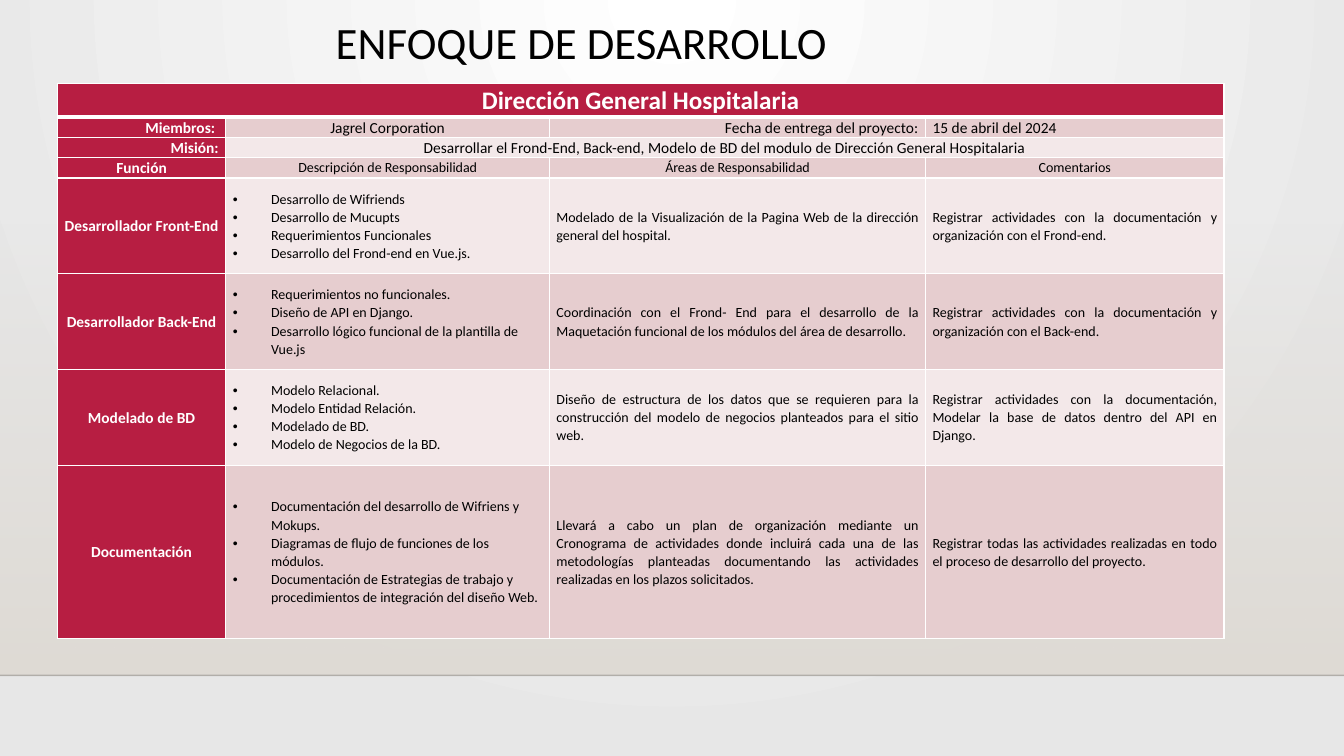
import pptx
import pptx.util
import pptx.dml.color
import pptx.enum.shapes
import pptx.enum.text
import pptx.oxml
import pptx.oxml.ns
import lxml.etree

Inches, Pt = pptx.util.Inches, pptx.util.Pt
ALIGN = pptx.enum.text.PP_ALIGN
ANCHOR = pptx.enum.text.MSO_ANCHOR
qn = pptx.oxml.ns.qn

FONT = "Calibri"
COLORS = {"red": "B71E42", "rose": "E6CDCF", "pale": "F3E8E9", "white": "FFFFFF",
          "black": "000000", "edge": "E7E7E7", "sand": "DFDBD5"}

TITLE = "ENFOQUE DE DESARROLLO"
COLUMN_WIDTHS = [1.67, 3.21, 3.73, 2.96]
ROW_HEIGHTS = [0.33, 0.2, 0.2, 0.2, 0.95, 0.95, 0.95, 1.72]
# A None cell is covered by the merged cell on its left; a list is bulleted.
ROWS = [
    ["Dirección General Hospitalaria", None, None, None],
    ["Miembros: ", "Jagrel Corporation", "Fecha de entrega del proyecto:",
     "15 de abril del 2024"],
    ["Misión:", "Desarrollar el Frond-End, Back-end, Modelo de BD del modulo de "
     "Dirección General Hospitalaria", None, None],
    ["Función", "Descripción de Responsabilidad", "Áreas de Responsabilidad",
     "Comentarios"],
    ["Desarrollador Front-End",
     ["Desarrollo de Wifriends", "Desarrollo de Mucupts",
      "Requerimientos Funcionales", "Desarrollo del Frond-end en Vue.js."],
     "Modelado de la Visualización de la Pagina Web de la dirección general del "
     "hospital. ",
     "Registrar actividades con la documentación y organización con el Frond-end."],
    ["Desarrollador Back-End",
     ["Requerimientos no funcionales.", "Diseño de API en Django.",
      "Desarrollo lógico funcional de la plantilla de Vue.js"],
     "Coordinación con el Frond- End para el desarrollo de la Maquetación funcional "
     "de los módulos del área de desarrollo.",
     "Registrar actividades con la documentación y organización con el Back-end."],
    ["Modelado de BD",
     ["Modelo Relacional.", "Modelo Entidad Relación.", "Modelado de BD.",
      "Modelo de Negocios de la BD."],
     "Diseño de estructura de los datos que se requieren para la construcción del "
     "modelo de negocios planteados para el sitio web.",
     "Registrar actividades con la documentación, Modelar la base de datos dentro "
     "del API en Django."],
    ["Documentación",
     ["Documentación del desarrollo de Wifriens y Mokups.",
      "Diagramas de flujo de funciones de los módulos.",
      "Documentación de Estrategias de trabajo y procedimientos de integración del "
      "diseño Web."],
     "Llevará a cabo un plan de organización mediante un Cronograma de actividades "
     "donde incluirá cada una de las metodologías planteadas documentando las "
     "actividades realizadas en los plazos solicitados.",
     "Registrar todas las actividades realizadas en todo el proceso de desarrollo "
     "del proyecto. "],
]
FIRST_BODY_ROW = 4
HEAD_ALIGNS = [
    [ALIGN.CENTER],
    [ALIGN.RIGHT, ALIGN.CENTER, ALIGN.RIGHT, ALIGN.LEFT],
    [ALIGN.RIGHT, ALIGN.CENTER],
    [ALIGN.CENTER] * 4,
]
BODY_ALIGNS = [ALIGN.CENTER, ALIGN.LEFT, ALIGN.JUSTIFY, ALIGN.JUSTIFY]


def rgb(name):
    return pptx.dml.color.RGBColor.from_string(COLORS[name])


def add_span(para, text, size, color, bold=False):
    span = para.add_run()
    span.text = text
    span.font.name, span.font.size, span.font.bold = FONT, Pt(size), bold
    span.font.color.rgb = rgb(color)


def set_alpha(fill_element, percents):
    """Give each colour stop below fill_element its opacity."""
    for color, percent in zip(fill_element.iter(qn("a:srgbClr")), percents):
        lxml.etree.SubElement(color, qn("a:alpha")).set("val", str(percent * 1000))


def fill_gradient(fill, start, end):
    fill.gradient()
    for stop, position, name in zip(fill.gradient_stops, (0, 1), (start, end)):
        stop.color.rgb = rgb(name)
        stop.position = position


def draw_backdrop(deck, page):
    fill_gradient(page.background.fill, "white", "edge")
    gradient = next(page.background._cSld.iter(qn("a:gradFill")))
    gradient.remove(gradient.find(qn("a:lin")))
    glow = lxml.etree.SubElement(gradient, qn("a:path"))
    glow.set("path", "circle")
    center = lxml.etree.SubElement(glow, qn("a:fillToRect"))
    for side, value in zip("ltrb", (43, 0, 43, 100)):
        center.set(side, str(value * 1000))

    wall = page.shapes.add_shape(pptx.enum.shapes.MSO_SHAPE.RECTANGLE, 0, Inches(2.21),
                                 deck.slide_width, Inches(4.49))
    wall.shadow.inherit = False
    wall.line.fill.background()
    fill_gradient(wall.fill, "sand", "sand")
    wall.fill.gradient_angle = 270
    set_alpha(wall._element.spPr, (0, 100))

    floor_line = page.shapes.add_connector(pptx.enum.shapes.MSO_CONNECTOR.STRAIGHT, 0,
                                           Inches(6.7), deck.slide_width, Inches(6.7))
    floor_line.line.color.rgb = rgb("black")
    floor_line.line.width = Pt(1)
    set_alpha(floor_line._element.spPr, (20,))
    lxml.etree.SubElement(floor_line._element.spPr, qn("a:effectLst"))


def write_title(page):
    box = page.shapes.title
    box.left, box.top = Inches(3.23), Inches(0.16)
    box.width, box.height = Inches(8.13), Inches(1.61)
    box.text_frame.vertical_anchor = ANCHOR.TOP
    para = box.text_frame.paragraphs[0]
    para.alignment, para.line_spacing = ALIGN.LEFT, 0.9
    add_span(para, TITLE, 32, "black")


def set_borders(cell, bottom_width):
    properties = cell._tc.get_or_add_tcPr()
    for index, side in enumerate("LRTB"):
        width = bottom_width if side == "B" else 1
        border = pptx.oxml.parse_xml(
            f'<a:ln{side} {pptx.oxml.ns.nsdecls("a")} w="{Pt(width)}"><a:solidFill>'
            f'<a:srgbClr val="{COLORS["white"]}"/></a:solidFill></a:ln{side}>')
        properties.insert(index, border)


def add_bullet(para):
    properties = para._p.get_or_add_pPr()
    properties.set("marL", str(Inches(0.38)))
    properties.set("indent", str(-Inches(0.38)))
    lxml.etree.SubElement(properties, qn("a:buFont")).set("typeface", "Arial")
    lxml.etree.SubElement(properties, qn("a:buChar")).set("char", "•")


def write_cell(cell, content, row, column):
    is_label = row == 0 or column == 0
    is_body = row >= FIRST_BODY_ROW
    size = 18 if row == 0 else 11 if is_label or row < 3 else 10
    align = (BODY_ALIGNS if is_body else HEAD_ALIGNS[row])[column]
    cell.vertical_anchor = ANCHOR.MIDDLE if is_body else ANCHOR.TOP
    lines = content if isinstance(content, list) else [content]
    for index, text in enumerate(lines):
        frame = cell.text_frame
        para = frame.add_paragraph() if index else frame.paragraphs[0]
        para.alignment, para.line_spacing = align, 1.07
        para.space_after = Pt(8 if index == len(lines) - 1 else 0)
        if isinstance(content, list):
            add_bullet(para)
        add_span(para, text, size, "white" if is_label else "black", is_label)


def draw_table(page):
    table = page.shapes.add_table(len(ROWS), len(COLUMN_WIDTHS), Inches(0.57), Inches(0.83),
                                  Inches(sum(COLUMN_WIDTHS)), Inches(sum(ROW_HEIGHTS))).table
    for column, width in zip(table.columns, COLUMN_WIDTHS):
        column.width = Inches(width)
    for r, contents in enumerate(ROWS):
        table.rows[r].height = Inches(ROW_HEIGHTS[r])
        band = "rose" if r % 2 else "pale"
        for c, content in enumerate(contents):
            cell = table.cell(r, c)
            cell.margin_left = cell.margin_right = Inches(0.07)
            cell.margin_top = cell.margin_bottom = 0
            cell.fill.solid()
            cell.fill.fore_color.rgb = rgb("red" if r == 0 or c == 0 else band)
            set_borders(cell, 1 if r else 3)
            if content is not None:
                write_cell(cell, content, r, c)
        if None in contents:
            table.cell(r, contents.index(None) - 1).merge(table.cell(r, len(contents) - 1))


def main():
    deck = pptx.Presentation()
    deck.slide_width, deck.slide_height = Inches(13.33), Inches(7.5)
    page = deck.slides.add_slide(deck.slide_layouts.get_by_name("Title Only"))
    draw_backdrop(deck, page)
    write_title(page)
    draw_table(page)
    deck.save("out.pptx")


if __name__ == "__main__":
    main()
